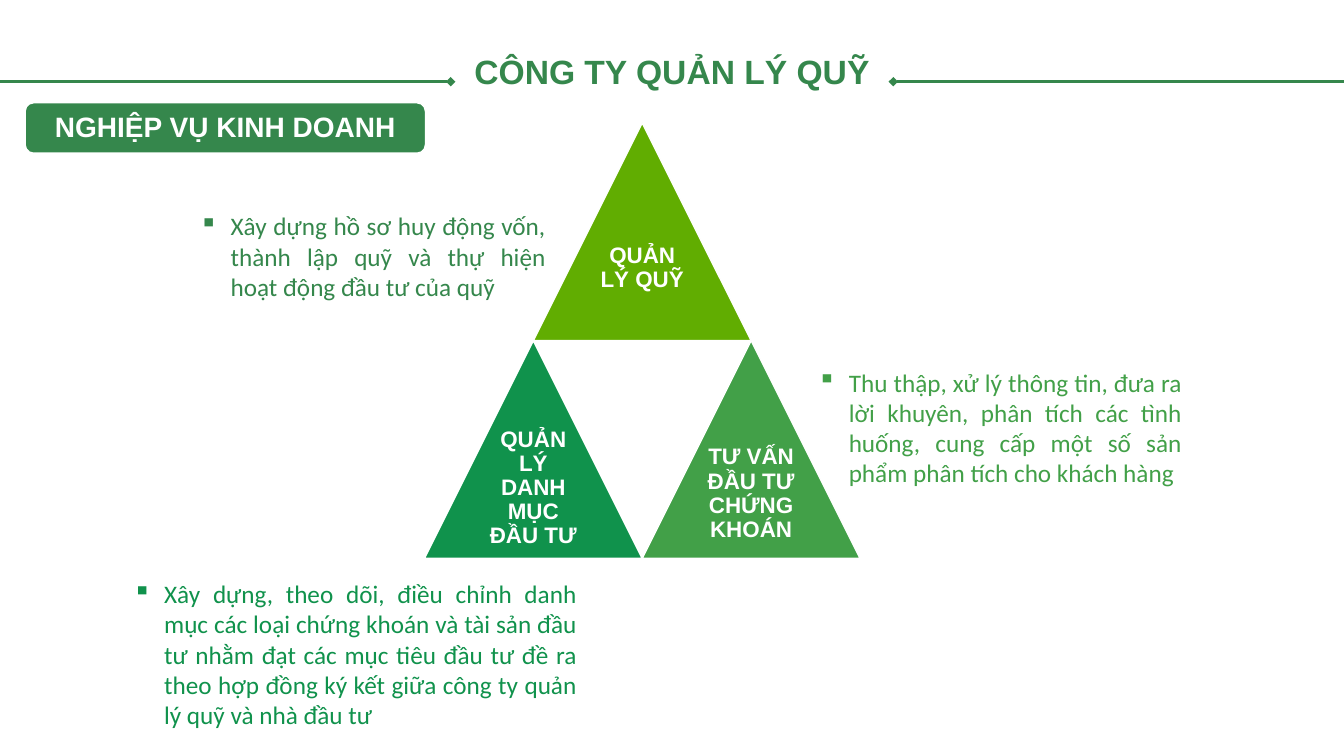
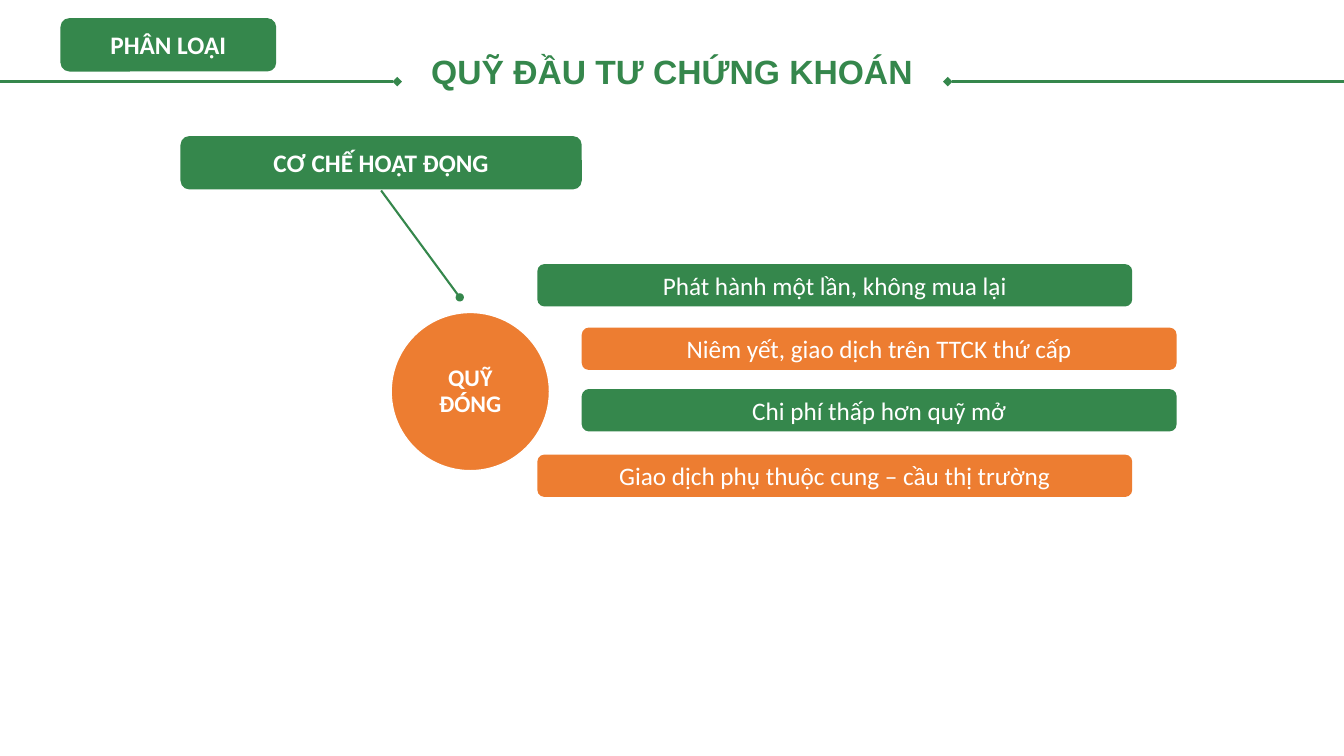
"""Build two slides on fund management companies and securities funds."""
from typing import Any, NamedTuple

from lxml import etree
from pptx import Presentation
from pptx import util as u
from pptx.dml.color import RGBColor
from pptx.enum import shapes, text
from pptx.oxml.ns import qn

PX = 9144
WIDE, HIGH = 1333, 750
RULE_Y = 81
INK = {
    "green": "35874C",
    "lime": "61AD01",
    "deep": "10924C",
    "leaf": "42A048",
    "orange": "ED7D31",
    "white": "FFFFFF",
}
KIND = shapes.MSO_SHAPE
ALIGN = text.PP_ALIGN
FIT = text.MSO_AUTO_SIZE
ANCHOR = text.MSO_ANCHOR
HEAD = {"name": "Arial", "size": u.Pt(24), "bold": True}
LABEL = {"name": "Arial", "size": u.Pt(16), "bold": True}
BADGE = {"name": "Arial", "size": u.Pt(20), "bold": True}
BODY = {"name": "Calibri", "size": u.Pt(18), "bold": False}
STRONG = BODY | {"bold": True}
DISC = STRONG | {"size": u.Pt(17)}
PLAIN = (10, 5, 10, 5)


class Box(NamedTuple):
    """Left, top, width and height in px."""
    left: int
    top: int
    width: int
    height: int


class Block(NamedTuple):
    """A filled shape with a label."""
    box: Box
    words: str
    fill: str
    font: dict[str, Any] = BODY
    kind: Any = KIND.ROUNDED_RECTANGLE
    inset: tuple[int, int, int, int] = PLAIN
    edge: bool = False
    space: float = 1.0
    turn: int = 0


class Note(NamedTuple):
    """A bulleted paragraph."""
    box: Box
    words: str
    ink: str


def put(item: Any, vals: dict[str, Any]) -> None:
    """Set attributes from format values."""
    for key, val in vals.items():
        setattr(item, key, val)


def tint(ink: str) -> RGBColor:
    """Look up a colour."""
    return RGBColor.from_string(INK[ink])


def place(item: Any, box: Box) -> None:
    """Move and size a shape."""
    put(item, {key: val * PX for key, val in box._asdict().items()})


def write(item: Any, words: str, font: dict[str, Any], ink: str,
          inset: tuple[int, int, int, int], frame: dict[str, Any],
          para: dict[str, Any]) -> Any:
    """Fill a text frame with one paragraph and return it."""
    area = item.text_frame
    sides = ("margin_left", "margin_top", "margin_right", "margin_bottom")
    put(area, dict(zip(sides, (gap * PX for gap in inset))))
    put(area, {"word_wrap": True} | frame)
    line = area.paragraphs[0]
    put(line, para)
    run = line.add_run()
    run.text = words
    put(run.font, font)
    run.font.color.rgb = tint(ink)
    return line


def draw(slide: Any, block: Block) -> None:
    """Draw a filled shape."""
    item = slide.shapes.add_shape(block.kind, 0, 0, 0, 0)
    place(item, block.box)
    item.rotation = block.turn
    item.shadow.inherit = False
    item.fill.solid()
    item.fill.fore_color.rgb = tint(block.fill)
    if block.edge:
        item.line.color.rgb = tint("white")
        item.line.width = u.Pt(1)
    else:
        item.line.fill.background()
    if block.words:
        write(item, block.words, block.font, "white", block.inset,
              {"vertical_anchor": ANCHOR.MIDDLE},
              {"alignment": ALIGN.CENTER, "line_spacing": block.space})


def jot(slide: Any, note: Note) -> None:
    """Draw a bulleted note."""
    item = slide.shapes.add_textbox(0, 0, 0, 0)
    place(item, note.box)
    line = write(item, note.words, BODY, note.ink, PLAIN,
                 {"auto_size": FIT.SHAPE_TO_FIT_TEXT},
                 {"alignment": ALIGN.JUSTIFY})
    props = line._p.get_or_add_pPr()
    props.set("marL", str(31 * PX))
    props.set("indent", str(-31 * PX))
    etree.SubElement(props, qn("a:buChar"), char="▪")


def link(slide: Any, start: tuple[int, int], end: tuple[int, int],
         width: float, tip: str) -> None:
    """Draw a line with a tip at its end."""
    item = slide.shapes.add_connector(
        shapes.MSO_CONNECTOR.STRAIGHT, *(val * PX for val in start + end))
    item.line.color.rgb = tint("green")
    item.line.width = u.Pt(width)
    etree.SubElement(item.line._get_or_add_ln(), qn("a:tailEnd"), type=tip)
    etree.SubElement(item._element.spPr, qn("a:effectLst"))


def start(deck: Any, title: str, left: int, right: int) -> Any:
    """Add a slide with a title between two rules."""
    slide = deck.slides.add_slide(deck.slide_layouts[5])
    head = slide.shapes.title
    place(head, Box(25, 55, 1283, 36))
    write(head, title, HEAD, "green", (0, 0, 0, 0),
          {"vertical_anchor": ANCHOR.TOP, "auto_size": FIT.SHAPE_TO_FIT_TEXT},
          {"alignment": ALIGN.CENTER, "line_spacing": 0.9})
    for edge, stop in ((0, left), (WIDE, right)):
        link(slide, (edge, RULE_Y), (stop, RULE_Y), 2.25, "diamond")
    return slide


def firm(deck: Any) -> None:
    """Build the slide on the company's business lines."""
    slide = start(deck, "CÔNG TY QUẢN LÝ QUỸ", 447, 886)
    draw(slide, Block(Box(25, 102, 397, 50), "NGHIỆP VỤ KINH DOANH", "green",
                      BADGE, inset=(14, 14, 14, 14), edge=True, space=0.9))
    side, left, top = 216, 421, 122
    half, low = side // 2, top + side
    parts = (
        (left + half, top, "QUẢN LÝ QUỸ", "lime", 35),
        (left, low, "QUẢN LÝ DANH MỤC ĐẦU TƯ", "deep", 31),
        (left + half, low, "", "white", 0),
        (left + side, low, "TƯ VẤN ĐẦU TƯ CHỨNG KHOÁN", "leaf", 20),
    )
    for x, y, words, fill, foot in parts:
        draw(slide, Block(Box(x, y, side, side), words, fill, LABEL,
                          KIND.ISOSCELES_TRIANGLE, (7, 0, 7, foot),
                          bool(words), 0.9, 0 if words else 180))
    notes = (
        Note(Box(122, 569, 460, 162),
             "Xây dựng, theo dõi, điều chỉnh danh mục các loại chứng khoán "
             "và tài sản đầu tư nhằm đạt các mục tiêu đầu tư đề ra theo hợp "
             "đồng ký kết giữa công ty quản lý quỹ và nhà đầu tư", "deep"),
        Note(Box(188, 204, 363, 101),
             "Xây dựng hồ sơ huy động vốn, thành lập quỹ và thự hiện hoạt "
             "động đầu tư của quỹ", "green"),
        Note(Box(801, 359, 381, 131),
             "Thu thập, xử lý thông tin, đưa ra lời khuyên, phân tích các "
             "tình huống, cung cấp một số sản phẩm phân tích cho khách hàng",
             "leaf"),
    )
    for note in notes:
        jot(slide, note)


def fund(deck: Any) -> None:
    """Build the slide on closed funds."""
    slide = start(deck, "QUỸ ĐẦU TƯ CHỨNG KHOÁN", 394, 940)
    link(slide, (378, 189), (456, 295), 1.5, "oval")
    traits = (
        (533, 262, "Phát hành một lần, không mua lại", "green"),
        (577, 325, "Niêm yết, giao dịch trên TTCK thứ cấp", "orange"),
        (577, 386, "Chi phí thấp hơn quỹ mở", "green"),
        (533, 451, "Giao dịch phụ thuộc cung – cầu thị trường", "orange"),
    )
    for x, y, words, fill in traits:
        draw(slide, Block(Box(x, y, 590, 42), words, fill))
    draw(slide, Block(Box(179, 135, 398, 53), "CƠ CHẾ HOẠT ĐỘNG", "green",
                      STRONG))
    draw(slide, Block(Box(388, 310, 157, 157), "QUỸ ĐÓNG", "orange", DISC,
                      KIND.OVAL, (2, 2, 2, 2), True, 0.9))
    draw(slide, Block(Box(60, 18, 214, 53), "PHÂN LOẠI", "green", STRONG))


def main() -> None:
    """Build and save the deck."""
    deck = Presentation()
    put(deck, {"slide_width": WIDE * PX, "slide_height": HIGH * PX})
    firm(deck)
    fund(deck)
    deck.save("out.pptx")


if __name__ == "__main__":
    main()
